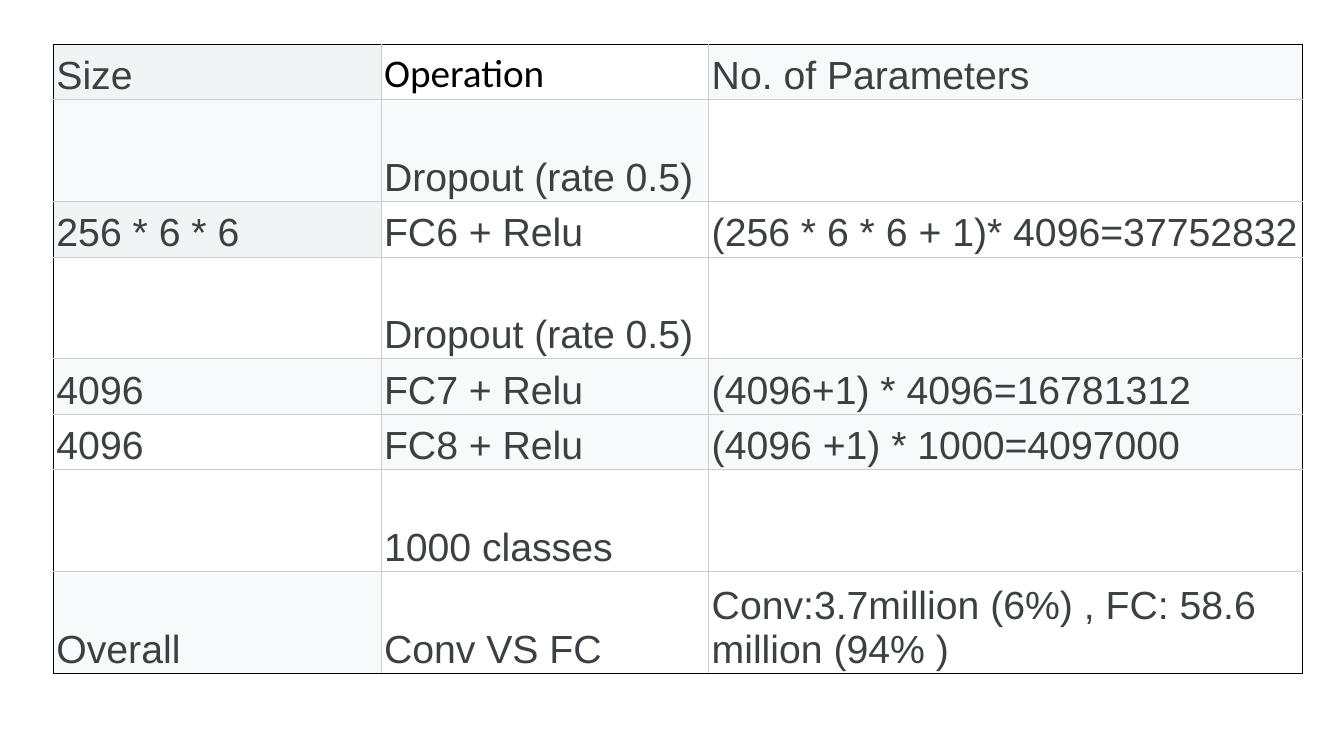
from lxml import etree
from pptx import Presentation, util as u
from pptx.dml.color import RGBColor
from pptx.enum import text
from pptx.oxml.ns import qn

COLORS = {"ink": "3C4043", "black": "000000", "rule": "CCCCCC",
          "grey": "F1F3F4", "pale": "F8F9FA", "white": "FFFFFF"}
SLIDE_W, SLIDE_H = 13.33, 7.5

# Each layer: size, operation, number of parameters, then the fills of the three cells
LAYERS = [
    ("Size", "Operation", "No. of Parameters", ("grey", None, "pale")),
    ("", "Dropout (rate 0.5)", "", ("pale", "pale", None)),
    ("256 * 6 * 6", "FC6 + Relu", "(256 * 6 * 6 + 1)* 4096=37752832", ("grey", "white", "white")),
    ("", "Dropout (rate 0.5)", "", ("white", "white", "white")),
    ("4096", "FC7 + Relu", "(4096+1) * 4096=16781312", ("pale", "pale", "pale")),
    ("4096", "FC8 + Relu", "(4096 +1) * 1000=4097000", ("white", "pale", "pale")),
    ("", "1000 classes", "", (None, "white", "white")),
    ("Overall", "Conv VS FC", "Conv:3.7million (6%) , FC: 58.6 million (94% )",
     ("pale", "white", "white")),
]
TALL_ROWS = {1, 3, 6, 7}
SHORT, TALL = 0.55, 1.01
COLUMN_SHARES = (0.2623, 0.2623, 0.4754)


def set_borders(cell, outer_sides):
    """Black on the outer sides of the table, light grey inside."""
    for side in "LRTB":
        color = COLORS["black" if side in outer_sides else "rule"]
        line = etree.SubElement(cell._tc.get_or_add_tcPr(), qn(f"a:ln{side}"),
                                w=str(u.Pt(0.6)))
        fill = etree.SubElement(line, qn("a:solidFill"))
        etree.SubElement(fill, qn("a:srgbClr"), val=color)


def style_cell(cell, label, fill, outer_sides, font_name, ink):
    cell.margin_left = cell.margin_right = u.Inches(0.03)
    cell.margin_top = cell.margin_bottom = u.Inches(0.02)
    cell.vertical_anchor = text.MSO_ANCHOR.BOTTOM
    set_borders(cell, outer_sides)
    if fill:
        cell.fill.solid()
        cell.fill.fore_color.rgb = RGBColor.from_string(COLORS[fill])
    else:
        cell.fill.background()
    cell.text_frame.text = label
    font = cell.text_frame.paragraphs[0].font
    for run in cell.text_frame.paragraphs[0].runs:
        font = run.font
    font.size, font.name = u.Pt(28), font_name
    font.color.rgb = RGBColor.from_string(COLORS[ink])


def add_layer_table(slide, left, top, width):
    heights = [TALL if row in TALL_ROWS else SHORT for row in range(len(LAYERS))]
    last_row, last_col = len(LAYERS) - 1, len(COLUMN_SHARES) - 1
    layers = slide.shapes.add_table(
        last_row + 1, last_col + 1, u.Inches(left), u.Inches(top),
        u.Inches(width), u.Inches(sum(heights))).table
    layers.first_row = layers.horz_banding = False
    for column, share in zip(layers.columns, COLUMN_SHARES):
        column.width = u.Inches(width * share)

    for row, (*labels, fills) in enumerate(LAYERS):
        layers.rows[row].height = u.Inches(heights[row])
        for col, (label, fill) in enumerate(zip(labels, fills)):
            edges = {"L": col == 0, "R": col == last_col,
                     "T": row == 0, "B": row == last_row}
            outer_sides = [side for side, is_outer in edges.items() if is_outer]
            # The "Operation" heading has its own font
            look = ("Calibri", "black") if label == "Operation" else ("Arial", "ink")
            style_cell(layers.cell(row, col), label, fill, outer_sides, *look)


def main():
    deck = Presentation()
    deck.slide_width, deck.slide_height = u.Inches(SLIDE_W), u.Inches(SLIDE_H)
    slide = deck.slides.add_slide(deck.slide_layouts[6])
    # Fully connected layers and their parameter counts
    add_layer_table(slide, left=0.53, top=0.44, width=12.39)
    deck.save("out.pptx")


if __name__ == "__main__":
    main()
